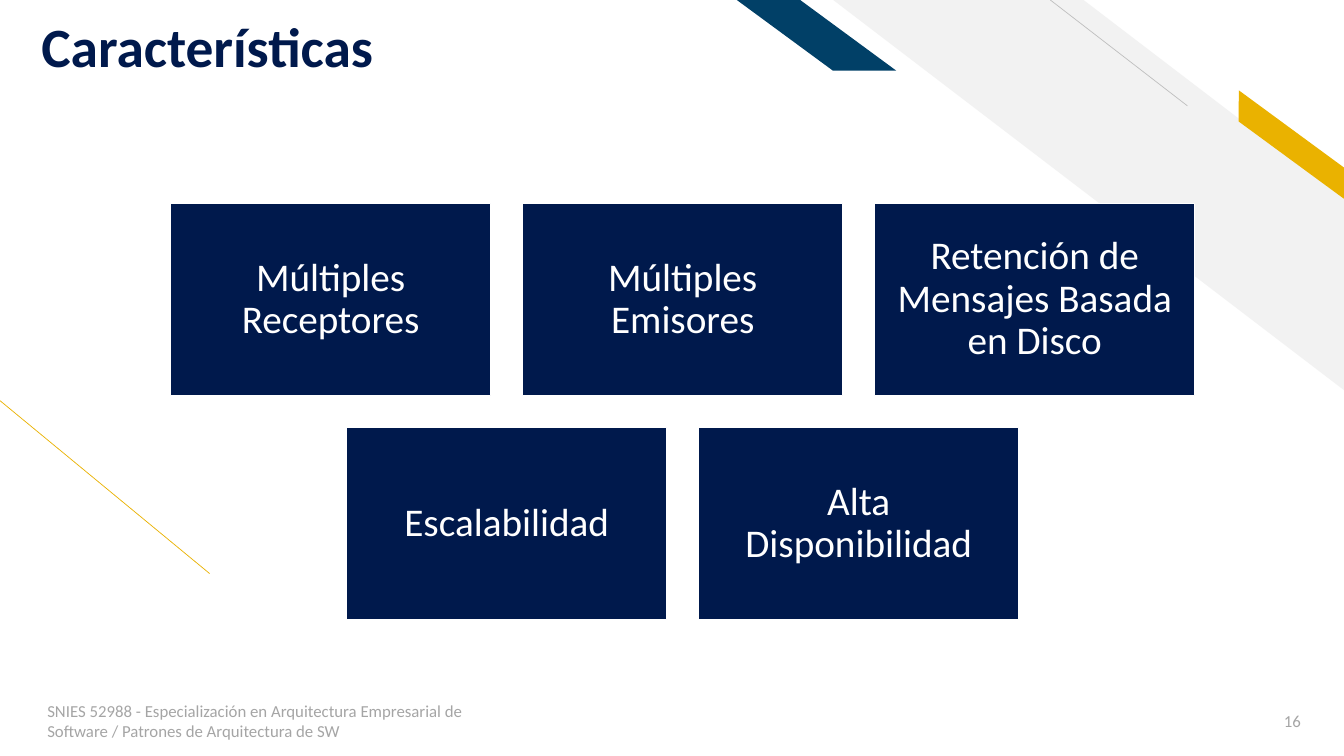
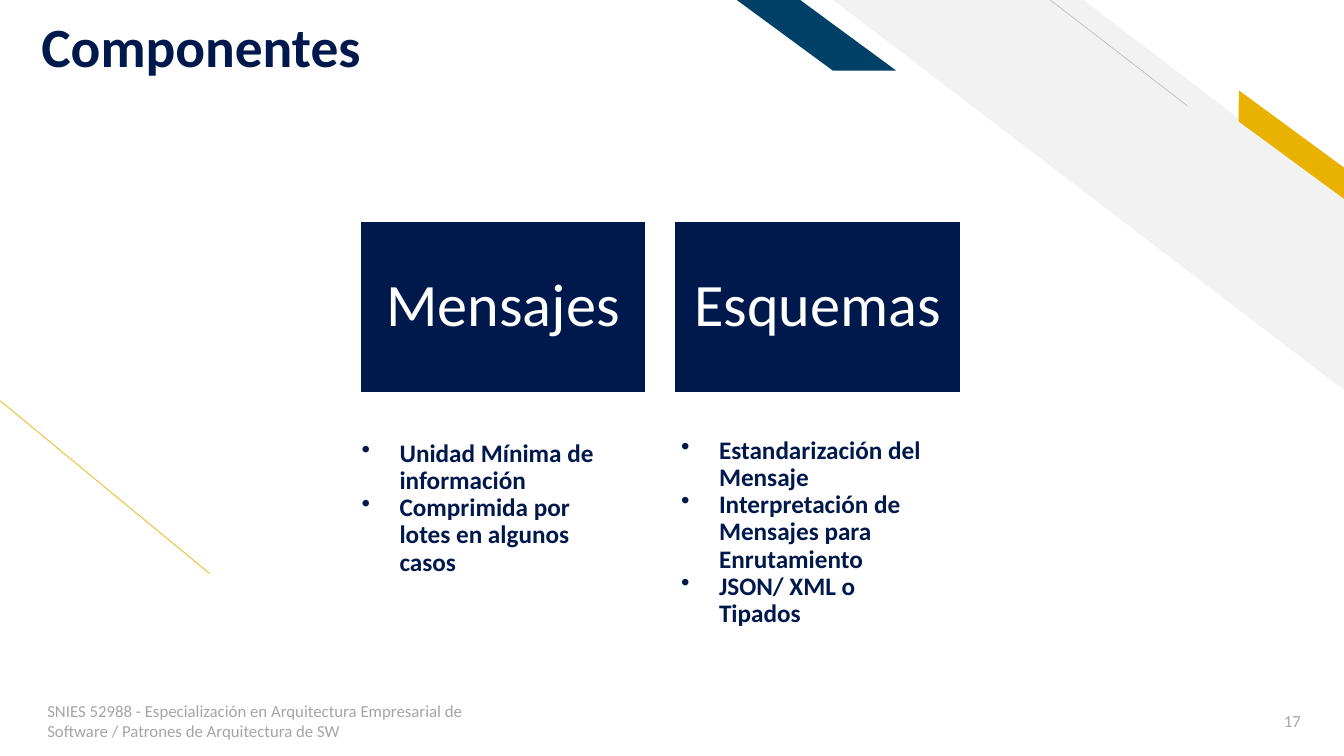
from dataclasses import dataclass
from lxml.etree import SubElement
from pptx import Presentation
from pptx.dml.color import RGBColor
from pptx.enum.shapes import MSO_CONNECTOR, MSO_SHAPE
from pptx.enum.text import MSO_ANCHOR, MSO_AUTO_SIZE, PP_ALIGN
from pptx.oxml.ns import qn
from pptx.util import Inches, Pt


@dataclass(frozen=True)
class Theme:
    """Colours, font and type sizes of the deck."""
    navy: str = "00194C"
    blue: str = "014067"
    gold: str = "EAB200"
    pale: str = "F2F2F2"
    rule: str = "BFBFBF"
    grey: str = "A5A5A5"
    white: str = "FFFFFF"
    font: str = "Calibri"
    title: float = 39.6
    card: float = 28
    head: float = 43
    body: float = 18
    foot: float = 12


@dataclass(frozen=True)
class Box:
    """A region in percent of the slide's width and height."""
    x: float
    y: float
    w: float
    h: float = 0

    def place(self):
        """Return left, top, width and height as lengths."""
        return across(self.x), down(self.y), across(self.w), down(self.h)


THEME = Theme()
WIDE, HIGH = Inches(13.33), Inches(7.5)
FOOTER = ("SNIES 52988 - Especialización en Arquitectura Empresarial de "
          "Software / Patrones de Arquitectura de SW")


def across(share):
    """Turn a percentage of the slide's width into a length."""
    return round(WIDE * share / 100)


def down(share):
    """Turn a percentage of the slide's height into a length."""
    return round(HIGH * share / 100)


def write(frame, *texts, size, color, bold=False, align=PP_ALIGN.LEFT,
          anchor=MSO_ANCHOR.MIDDLE, inset=(7.2, 3.6, 7.2, 3.6),
          spacing=0.9, bullet=None, indent=27):
    """Fill a text frame with one formatted paragraph per text."""
    frame.word_wrap = True
    frame.auto_size = MSO_AUTO_SIZE.NONE
    frame.vertical_anchor = anchor
    (frame.margin_left, frame.margin_top,
     frame.margin_right, frame.margin_bottom) = map(Pt, inset)
    for index, text in enumerate(texts):
        para = frame.add_paragraph() if index else frame.paragraphs[0]
        para.text = text
        if bullet:
            props = para._p.get_or_add_pPr()
            props.set("marL", str(Pt(indent)))
            props.set("indent", str(-Pt(indent)))
            SubElement(props, qn("a:buChar")).set("char", bullet)
        para.alignment = align
        para.line_spacing = spacing
        font = para.font
        font.name, font.size, font.bold = THEME.font, Pt(size), bold
        font.color.rgb = RGBColor.from_string(color)


def label(slide, box, *texts, **style):
    """Add a text box in the given region."""
    frame = slide.shapes.add_textbox(*box.place()).text_frame
    write(frame, *texts, **style)


def block(slide, kind, place, color, adjust=None, turn=0, flip=False,
          edge=None):
    """Add a flat preset shape."""
    shape = slide.shapes.add_shape(kind, *place)
    shape.shadow.inherit = False
    shape.fill.solid()
    shape.fill.fore_color.rgb = RGBColor.from_string(color)
    if edge:
        shape.line.color.rgb = RGBColor.from_string(edge)
        shape.line.width = Pt(1)
    else:
        shape.line.fill.background()
    if adjust is not None:
        shape.adjustments[0] = adjust
    shape.rotation = turn
    if flip:
        shape._element.spPr.xfrm.set("flipH", "1")
    return shape


def stroke(slide, start, end, color):
    """Add a hairline between two points."""
    line = slide.shapes.add_connector(
        MSO_CONNECTOR.STRAIGHT, across(start[0]), down(start[1]),
        across(end[0]), down(end[1]))
    line.line.color.rgb = RGBColor.from_string(color)
    line.line.width = Pt(0.5)
    SubElement(line._element.spPr, qn("a:effectLst"))


def decor(slide):
    """Draw the diagonal bands and hairlines."""
    stroke(slide, (15.6, 75.87), (0, 53), THEME.gold)
    block(slide, MSO_SHAPE.DIAGONAL_STRIPE, Box(62, 0, 38, 51.6).place(),
          THEME.pale, 0.51, flip=True)
    stroke(slide, (88.35, 14), (78.15, 0), THEME.rule)
    block(slide, MSO_SHAPE.PARALLELOGRAM,
          Box(90.55, 17.47, 11.1, 3.33).place(),
          THEME.gold, 0.72, turn=36.3, flip=True)
    block(slide, MSO_SHAPE.PARALLELOGRAM, Box(54.83, 0, 11.85, 9.33).place(),
          THEME.blue, 1.36, flip=True)


def footer(slide, number):
    """Add the course line and the page number."""
    style = dict(size=THEME.foot, color=THEME.grey, spacing=1)
    label(slide, Box(2.78, 92.67, 33.75, 5.33), FOOTER, **style)
    label(slide, Box(91.45, 92.67, 6.08, 5.33), str(number),
          align=PP_ALIGN.RIGHT, **style)


def page(deck, title, number):
    """Add a slide with its title, decor and footer."""
    slide = deck.slides.add_slide(deck.slide_layouts[5])
    decor(slide)
    footer(slide, number)
    head = slide.shapes.title
    head.left, head.top, head.width, head.height = Box(
        2.33, 3.07, 68.33, 7.47).place()
    write(head.text_frame, title, size=THEME.title, color=THEME.navy,
          bold=True, anchor=MSO_ANCHOR.BOTTOM, inset=(7.2, 3.6, 7.2, 0))
    return slide


def cards(slide, box, rows, size):
    """Lay out centred rows of cards, with gaps of a tenth of a card."""
    left, top, span, _ = box.place()
    most = max(map(len, rows))
    width = span / (most + 0.1 * (most - 1))
    height, gap = 0.6 * width, 0.1 * width
    for r, row in enumerate(rows):
        start = left + (most - len(row)) * (width + gap) / 2
        for c, text in enumerate(row):
            place = (start + c * (width + gap), top + r * (height + gap),
                     width, height)
            card = block(slide, MSO_SHAPE.RECTANGLE, map(round, place),
                         THEME.navy, edge=THEME.white)
            write(card.text_frame, text, size=size, color=THEME.white,
                  align=PP_ALIGN.CENTER, inset=(0.3 * size,) * 4)


def points(slide, box, *texts):
    """Add a bold bulleted list standing on the bottom of its box."""
    label(slide, box, *texts, size=THEME.body, color=THEME.navy, bold=True,
          anchor=MSO_ANCHOR.BOTTOM, inset=(7.2, 3.6, 7.2, 0), bullet="•")


def traits(deck):
    """Build the slide of features."""
    slide = page(deck, "Características", 16)
    cards(slide, Box(12.7, 26.93, 76.2), [
        ["Múltiples Receptores", "Múltiples Emisores",
         "Retención de Mensajes Basada en Disco"],
        ["Escalabilidad", "Alta Disponibilidad"],
    ], THEME.card)


def parts(deck):
    """Build the slide of components."""
    slide = page(deck, "Componentes", 17)
    cards(slide, Box(26.8, 29.33, 44.65), [["Mensajes", "Esquemas"]],
          THEME.head)
    points(slide, Box(26.18, 61.87, 20.78, 14.4),
           "Unidad Mínima de información",
           "Comprimida por lotes en algunos casos")
    points(slide, Box(49.95, 68.67, 20.78, 14.4),
           "Estandarización del Mensaje",
           "Interpretación de Mensajes para Enrutamiento",
           "JSON/ XML o Tipados")


def main():
    """Build and save the deck."""
    deck = Presentation()
    deck.slide_width, deck.slide_height = WIDE, HIGH
    traits(deck)
    parts(deck)
    deck.save("out.pptx")


if __name__ == "__main__":
    main()
